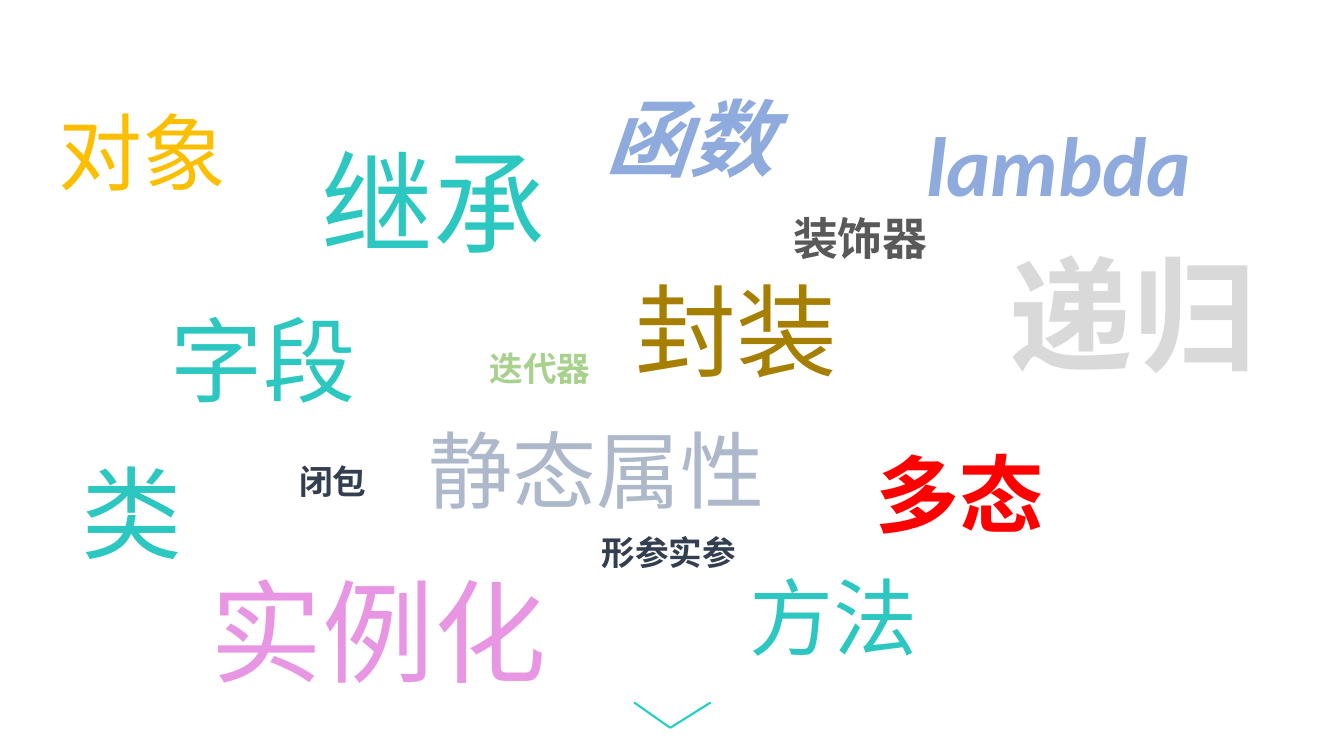
from lxml import etree
from pptx import Presentation
from pptx.dml.color import RGBColor
from pptx.enum.shapes import MSO_CONNECTOR
from pptx.enum.text import MSO_AUTO_SIZE
from pptx.oxml.ns import qn
from pptx.util import Cm, Pt

TEAL = RGBColor(0x2B, 0xC7, 0xC0)
CHEVRON_TEAL = RGBColor(0x24, 0xCE, 0xC6)
AMBER = RGBColor(0xFB, 0xBF, 0x00)
PINK = RGBColor(0xE8, 0x96, 0xE4)
BLUE_GREY = RGBColor(0xAD, 0xB9, 0xCA)
BLUE = RGBColor(0x8F, 0xAA, 0xDC)
BRONZE = RGBColor(0xA7, 0x7F, 0x00)
RED = RGBColor(0xFF, 0x00, 0x00)
LIGHT_GREY = RGBColor(0xD9, 0xD9, 0xD9)
DARK_GREY = RGBColor(0x59, 0x59, 0x59)
NAVY = RGBColor(0x33, 0x3F, 0x50)
GREEN = RGBColor(0xA9, 0xD1, 0x8E)

presentation = Presentation()
presentation.slide_width = Cm(33.87)
presentation.slide_height = Cm(19.05)
slide = presentation.slides.add_slide(presentation.slide_layouts[6])

chevron = slide.shapes.add_group_shape()
chevron_points = [(15.98, 17.7), (16.89, 18.34), (17.91, 17.7)]
for (x1, y1), (x2, y2) in zip(chevron_points, chevron_points[1:]):
    stroke = chevron.shapes.add_connector(
        MSO_CONNECTOR.STRAIGHT, Cm(x1), Cm(y1), Cm(x2), Cm(y2))
    stroke.line.color.rgb = CHEVRON_TEAL
    stroke.line.width = Pt(1.5)
    etree.SubElement(stroke._element.spPr, qn("a:effectLst"))

keywords = [
    ("类", 1.8, 11.23, 2.95, 72, TEAL, False, False),
    ("对象", 1.22, 2.41, 6.43, 60, AMBER, False, False),
    ("实例化", 5.05, 14.05, 12.85, 80, PINK, False, False),
    ("静态属性", 10.54, 10.41, 12.24, 60, BLUE_GREY, False, False),
    ("字段", 4.06, 7.52, 6.43, 66, TEAL, False, False),
    ("方法", 18.64, 14.12, 5.79, 60, TEAL, False, False),
    ("函数", 15.01, 2.06, 5.79, 60, BLUE, True, True),
    ("封装", 15.77, 6.65, 5.79, 72, BRONZE, False, False),
    ("多态", 21.82, 11.02, 5.79, 60, RED, True, False),
    ("继承", 7.85, 3.25, 7.19, 80, TEAL, False, False),
    ("lambda", 23.09, 2.72, 9.58, 60, BLUE, True, True),
    ("递归", 25.2, 5.87, 8.2, 88, LIGHT_GREY, True, False),
    ("形参实参", 14.91, 13.28, 5.79, 24, NAVY, True, False),
    ("迭代器", 12.09, 8.64, 5.79, 24, GREEN, True, False),
    ("闭包", 7.29, 11.48, 2.95, 24, NAVY, True, False),
    ("装饰器", 19.74, 5.18, 5.11, 32, DARK_GREY, True, False),
]
for word, left, top, width, size, color, bold, italic in keywords:
    height = Pt(size * 1.2) + Cm(0.25)
    keyword = slide.shapes.add_textbox(Cm(left), Cm(top), Cm(width), height)
    frame = keyword.text_frame
    frame.word_wrap = True
    frame.auto_size = MSO_AUTO_SIZE.SHAPE_TO_FIT_TEXT
    run = frame.paragraphs[0].add_run()
    run.text = word
    run.font.name = "Calibri"
    run.font.size = Pt(size)
    run.font.color.rgb = color
    run.font.bold = bold
    run.font.italic = italic

presentation.save("out.pptx")
